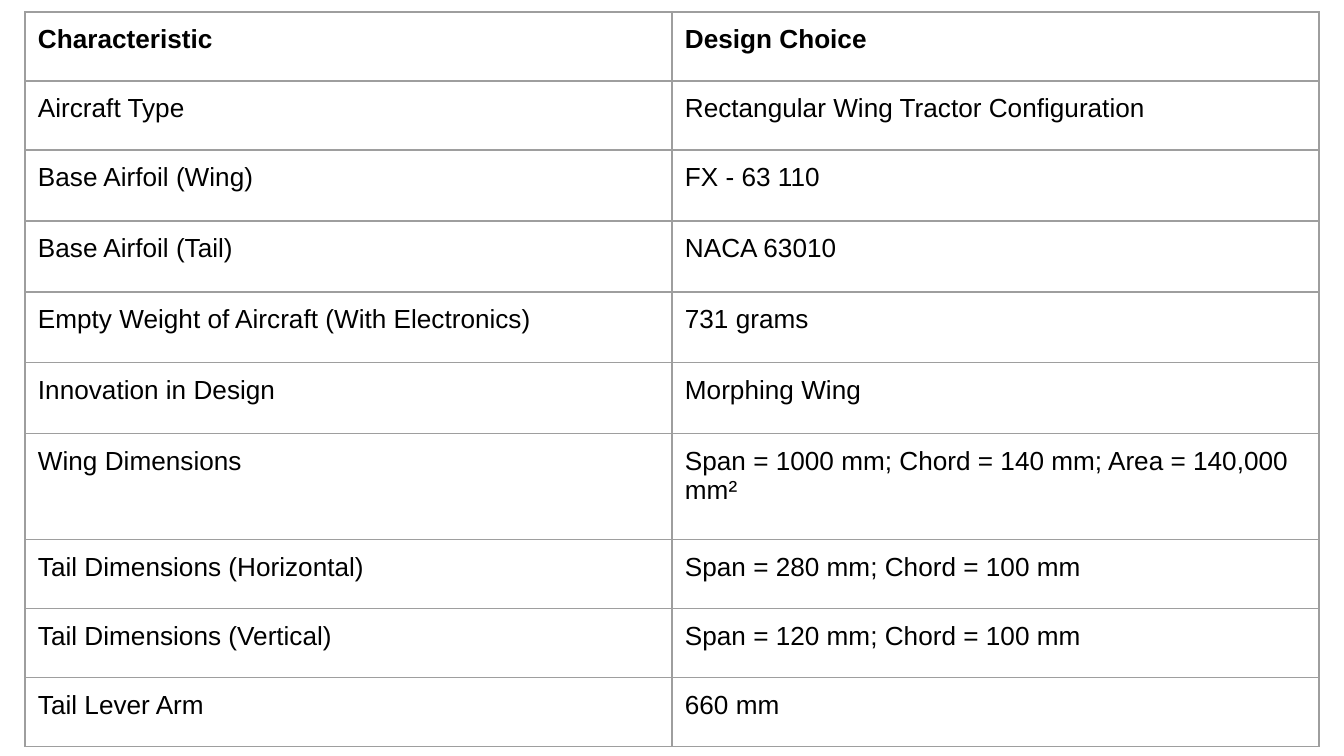
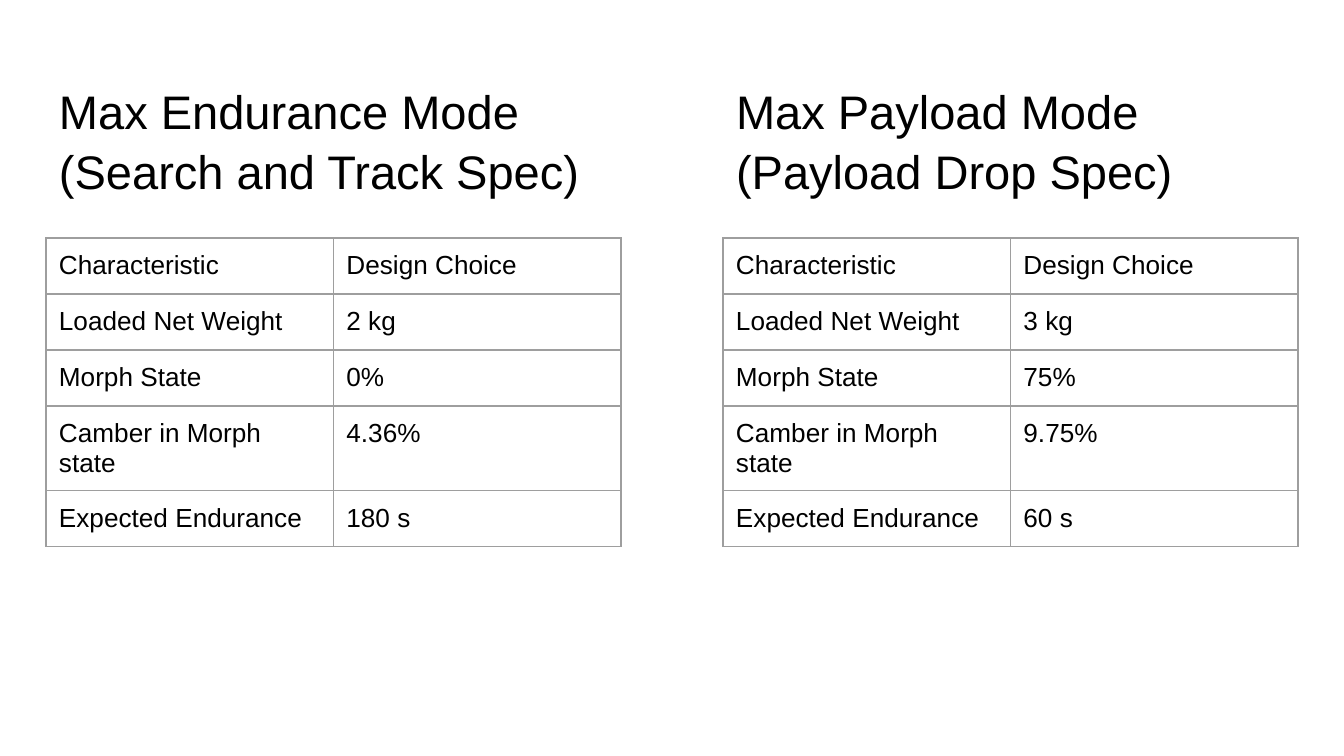
from dataclasses import dataclass

from lxml import etree
from pptx import Presentation
from pptx.dml.color import RGBColor
from pptx.enum.text import MSO_ANCHOR, MSO_AUTO_SIZE, PP_ALIGN
from pptx.oxml.ns import qn
from pptx.util import Pt

EMU_PER_PX = 914400 / 134.4
TOP = MSO_ANCHOR.TOP
LEFT = PP_ALIGN.LEFT
NO_AUTOFIT = MSO_AUTO_SIZE.NONE
COMPARISON_LAYOUT, BLANK_LAYOUT = 3 + 1, 6


@dataclass(frozen=True)
class Theme:
    font: str = "Arial"
    text: str = "000000"
    rule: str = "9E9E9E"
    rule_width: float = 0.75
    title_size: float = 25.2
    title_spacing: float = 1.06
    table_size: float = 14
    inset: int = 13


THEME = Theme()

HEADER = ("Characteristic", "Design Choice")

DESIGN_ROWS = [
    HEADER,
    ("Aircraft Type", "Rectangular Wing Tractor Configuration"),
    ("Base Airfoil (Wing)", "FX - 63 110"),
    ("Base Airfoil (Tail)", "NACA 63010"),
    ("Empty Weight of Aircraft (With Electronics)", "731 grams"),
    ("Innovation in Design", "Morphing Wing"),
    ("Wing Dimensions", "Span = 1000 mm; Chord = 140 mm; Area = 140,000 mm²"),
    ("Tail Dimensions (Horizontal)", "Span = 280 mm; Chord = 100 mm"),
    ("Tail Dimensions (Vertical)", "Span = 120 mm; Chord = 100 mm"),
    ("Tail Lever Arm", "660 mm"),
]
DESIGN_HEIGHTS = [69] * 2 + [71] * 4 + [106] + [69] * 3

MODE_LABELS = ("Loaded Net Weight", "Morph State",
               "Camber in Morph state", "Expected Endurance")
MODES = [
    ("Max Endurance Mode (Search and Track Spec)",
     ("2 kg", "0%", "4.36%", "180 s")),
    ("Max Payload Mode (Payload Drop Spec)",
     ("3 kg", "75%", "9.75%", "60 s")),
]
MODE_LEFTS = (46, 723)
MODE_WIDTH = 575
MODE_ROW_HEIGHT = 56


def px(length):
    return round(length * EMU_PER_PX)


def style_text(paragraph, size, bold=False):
    paragraph.alignment = LEFT
    for run in paragraph.runs:
        run.font.name = THEME.font
        run.font.size = Pt(size)
        run.font.bold = bold
        run.font.color.rgb = RGBColor.from_string(THEME.text)


def set_insets(holder):
    """Give a cell or a text frame the shared inner margin."""
    holder.margin_left = holder.margin_right = px(THEME.inset)
    holder.margin_top = holder.margin_bottom = px(THEME.inset)


def add_borders(cell):
    properties = cell._tc.get_or_add_tcPr()
    for side in ("lnL", "lnR", "lnT", "lnB"):
        line = etree.SubElement(properties, qn(f"a:{side}"),
                                w=str(Pt(THEME.rule_width)))
        fill = etree.SubElement(line, qn("a:solidFill"))
        etree.SubElement(fill, qn("a:srgbClr"), val=THEME.rule)


def add_grid(slide, left, top, width, rows, heights, bold_header=False):
    """Add a ruled table with equal columns and no fill."""
    columns = len(rows[0])
    grid = slide.shapes.add_table(len(rows), columns, px(left), px(top),
                                  px(width), px(sum(heights))).table
    grid.first_row = grid.horz_banding = False
    for column in grid.columns:
        column.width = px(width / columns)
    for r, (entries, height) in enumerate(zip(rows, heights)):
        grid.rows[r].height = px(height)
        for c, entry in enumerate(entries):
            cell = grid.cell(r, c)
            cell.text_frame.text = entry
            cell.vertical_anchor = TOP
            set_insets(cell)
            add_borders(cell)
            cell.fill.background()
            style_text(cell.text_frame.paragraphs[0], THEME.table_size,
                       bold_header and r == 0)


def set_heading(placeholder, heading, left):
    placeholder.left, placeholder.top = px(left), px(66)
    placeholder.width, placeholder.height = px(MODE_WIDTH), px(84)
    frame = placeholder.text_frame
    frame.text = heading
    frame.word_wrap = True
    frame.auto_size = NO_AUTOFIT
    frame.vertical_anchor = TOP
    set_insets(frame)
    paragraph = frame.paragraphs[0]
    paragraph.space_before = Pt(0)
    paragraph.line_spacing = THEME.title_spacing
    style_text(paragraph, THEME.title_size)


def remove_empty_placeholders(slide):
    for placeholder in list(slide.placeholders):
        if not placeholder.text_frame.text:
            placeholder.element.getparent().remove(placeholder.element)


def build_design_slide(deck):
    slide = deck.slides.add_slide(deck.slide_layouts[BLANK_LAYOUT])
    add_grid(slide, 25, 12, 1294, DESIGN_ROWS, DESIGN_HEIGHTS,
             bold_header=True)


def build_modes_slide(deck):
    slide = deck.slides.add_slide(deck.slide_layouts[COMPARISON_LAYOUT])
    headings = (slide.shapes.title, slide.placeholders[1])
    for placeholder, left, (heading, values) in zip(headings, MODE_LEFTS, MODES):
        set_heading(placeholder, heading, left)
        rows = [HEADER, *zip(MODE_LABELS, values)]
        add_grid(slide, left, 238, MODE_WIDTH, rows,
                 [MODE_ROW_HEIGHT] * len(rows))
    remove_empty_placeholders(slide)


def main():
    deck = Presentation()
    deck.slide_width, deck.slide_height = px(1344), px(756)
    build_design_slide(deck)
    build_modes_slide(deck)
    deck.save("out.pptx")


if __name__ == "__main__":
    main()
